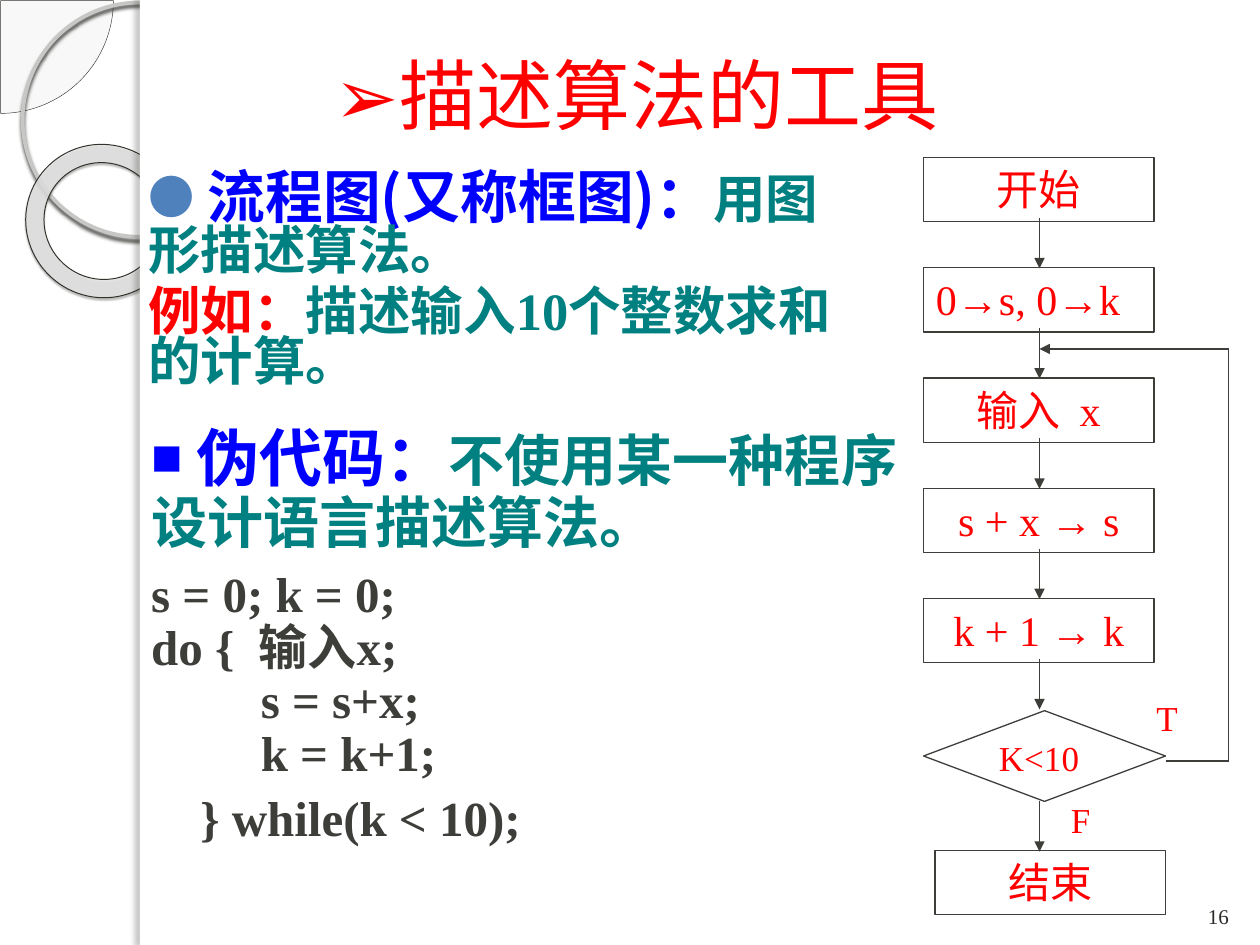
import pptx
import pptx.util
import pptx.dml.color
import pptx.enum.shapes
import pptx.enum.text
import pptx.oxml.ns
from lxml import etree

Inches = pptx.util.Inches
Pt = pptx.util.Pt
SHAPE = pptx.enum.shapes.MSO_SHAPE
ALIGN = pptx.enum.text.PP_ALIGN
ANCHOR = pptx.enum.text.MSO_ANCHOR
qn = pptx.oxml.ns.qn

SANS, SERIF = "Noto Sans CJK SC", "Times New Roman"
COLORS = {"red": "FF0000", "blue": "0000FF", "teal": "008080", "ink": "3D3D3A",
          "dark": "2B2B27", "white": "FFFFFF", "pale": "EBEBEB", "ring": "C7C7C6",
          "donut": "E3E3E3", "edge": "32322D", "bullet": "4F81BD"}


def color(name):
    return pptx.dml.color.RGBColor.from_string(COLORS[name])


def add_child(parent, tag, **attributes):
    return etree.SubElement(parent, qn(tag), {k: str(v) for k, v in attributes.items()})


def add_span(para, text, size=24, font=SERIF, fill="red", bold=False):
    span = para.add_run()
    span.text = text
    span.font.size = Pt(size)
    span.font.name = font
    span.font.bold = bold
    span.font.color.rgb = color(fill)
    add_child(span.font._element, "a:ea", typeface=SANS)


class SlideBuilder:
    """Holds the line style, the page and the shapes being added to."""

    def __init__(self, page):
        self.page = page
        self.shapes = page.shapes
        self.line_color, self.line_width = "ink", 0.75

    def start_group(self):
        self.shapes = self.page.shapes.add_group_shape().shapes

    def end_group(self):
        self.shapes = self.page.shapes

    def shape(self, kind, left, top, width, height, fill=None, alpha=100,
              line="ink", line_width=None, shadow=None):
        box = self.shapes.add_shape(kind, Inches(left), Inches(top),
                                    Inches(width), Inches(height))
        box.shadow.inherit = False
        if fill:
            box.fill.solid()
            box.fill.fore_color.rgb = color(fill)
            if alpha < 100:
                srgb = box._element.spPr.find(".//" + qn("a:srgbClr"))
                add_child(srgb, "a:alpha", val=alpha * 1000)
        else:
            box.fill.background()
        if line:
            box.line.color.rgb = color(line)
            box.line.width = Pt(line_width or self.line_width)
        else:
            box.line.fill.background()
        if shadow:
            opacity, blur, distance, angle = shadow
            effects = box._element.spPr.find(qn("a:effectLst"))
            outer = add_child(effects, "a:outerShdw", blurRad=Pt(blur), dist=Pt(distance),
                              dir=angle * 60000, algn="tl", rotWithShape=0)
            srgb = add_child(outer, "a:srgbClr", val=COLORS["dark"])
            add_child(srgb, "a:alpha", val=opacity * 1000)
        return box

    def step(self, text, left, top, align=ALIGN.CENTER):
        box = self.shape(SHAPE.RECTANGLE, left, top, 1.83, 0.51)
        box.text_frame.vertical_anchor = ANCHOR.TOP
        para = box.text_frame.paragraphs[0]
        para.alignment = align
        add_span(para, text)

    def text_box(self, left, top, width, height, wrap=True):
        box = self.shapes.add_textbox(Inches(left), Inches(top), Inches(width), Inches(height))
        box.text_frame.word_wrap = wrap
        return box.text_frame

    def label(self, text, left, top, width, wrap=False):
        frame = self.text_box(left, top, width, 0.43, wrap)
        add_span(frame.paragraphs[0], text, size=20)

    def paragraph(self, frame, spans, spacing, before=0, indent=0, bullet=None):
        para = frame.paragraphs[0]
        if para.runs:
            para = frame.add_paragraph()
        para.line_spacing = spacing
        para.space_before = Pt(before)
        para.alignment = ALIGN.LEFT
        properties = para._p.get_or_add_pPr()
        properties.set("marL", str(Inches(indent)))
        properties.set("indent", "0")
        if bullet:
            symbol, fill, percent = bullet
            add_child(add_child(properties, "a:buClr"), "a:srgbClr", val=COLORS[fill])
            add_child(properties, "a:buSzPct", val=percent * 1000)
            add_child(properties, "a:buFont", typeface=SANS)
            add_child(properties, "a:buChar", char=symbol)
        for text, style in spans:
            add_span(para, text, **style)

    def line(self, x1, y1, x2, y2, arrow=None):
        link = self.shapes.add_connector(pptx.enum.shapes.MSO_CONNECTOR.STRAIGHT,
                                         Inches(x1), Inches(y1), Inches(x2), Inches(y2))
        link.line.color.rgb = color(self.line_color)
        link.line.width = Pt(self.line_width)
        if arrow:
            add_child(link.line._get_or_add_ln(), "a:" + arrow, type="triangle")
        add_child(link._element.spPr, "a:effectLst")

    def title(self, text):
        box = self.page.shapes.title
        self.page.shapes.element.append(box.element)  # in front of the panel
        box.left, box.top, box.width, box.height = map(Inches, (0.43, 0.28, 9.25, 0.92))
        box.text_frame.vertical_anchor = ANCHOR.MIDDLE
        para = box.text_frame.paragraphs[0]
        para.alignment = ALIGN.CENTER
        add_span(para, text, size=44, font=SANS)


def main():
    deck = pptx.Presentation()
    deck.slide_width, deck.slide_height = Inches(10), Inches(7.5)
    builder = SlideBuilder(deck.slides.add_slide(deck.slide_layouts[5]))

    # Side decoration and the white panel over it
    pie = builder.shape(SHAPE.PIE, -0.89, -0.89, 1.79, 1.79, "pale", 33, "edge", 0.25)
    pie.adjustments[0], pie.adjustments[1] = 0, 54
    builder.shape(SHAPE.OVAL, 0.18, 0.02, 1.86, 1.86, line="ring", line_width=2.15,
                  shadow=(85, 2, 2, 90))
    donut = builder.shape(SHAPE.DONUT, 0.2, 1.15, 1.23, 1.21, "donut", 85, "edge", 0.58,
                          shadow=(35, 1, 1.2, 75))
    donut.adjustments[0] = 0.12
    donut.rotation = 38.6
    builder.shape(SHAPE.RECTANGLE, 1.11, 0, 8.89, 7.5, "white", line=None)
    builder.shape(SHAPE.RECTANGLE, 1.11, 0, 0.08, 7.5, "white", line=None,
                  shadow=(25, 3, 3, 180))

    builder.title("➢描述算法的工具")

    # Flowchart description
    sans = {"font": SANS, "bold": True}
    teal = {**sans, "size": 30, "fill": "teal"}
    frame = builder.text_box(1.08, 1.33, 5.65, 1.86)
    builder.paragraph(frame, [
        (" 流程图(又称框图)：", {**sans, "size": 33, "fill": "blue"}),
        ("用图形描述算法。", teal)], 0.8, before=6, bullet=("●", "bullet", 80))
    builder.paragraph(frame, [
        ("例如：", {**teal, "fill": "red"}), ("描述输入", teal),
        ("10", {**teal, "font": SERIF}), ("个整数求和的计算。", teal)], 0.8, before=6)

    # Page number
    frame = builder.text_box(9.42, 6.9, 0.5, 0.52)
    frame.vertical_anchor = ANCHOR.BOTTOM
    frame.paragraphs[0].alignment = ALIGN.CENTER
    add_span(frame.paragraphs[0], "16", size=12, fill="dark")

    # Flowchart
    builder.start_group()
    axis, left, top, pitch = 8.25, 7.33, 1.25, 0.875
    steps = ["开始", "0→s, 0→k", "输入  x", "s + x → s", "k + 1 → k"]
    for index, text in enumerate(steps):
        y = top + index * pitch
        builder.step(text, left, y, ALIGN.LEFT if index == 1 else ALIGN.CENTER)
        builder.line(axis, y + 0.48, axis, y + 0.88, "tailEnd")
    builder.shape(SHAPE.FLOWCHART_DECISION, left, 5.64, 1.92, 0.72)
    builder.label("K<10", 7.83, 5.8, 1, wrap=True)
    builder.line(axis, 6.36, axis, 6.76, "tailEnd")
    builder.step("结束", 7.42, 6.75)

    # Loop back
    builder.line(9.25, 6.04, 9.75, 6.04)
    builder.line(9.75, 2.77, 9.75, 6.04)
    builder.line(axis, 2.77, 9.75, 2.77, "headEnd")
    builder.label("F", 8.4, 6.29, 0.37)
    builder.label("T", 9.08, 5.48, 0.38)
    builder.end_group()

    # Pseudocode
    frame = builder.text_box(1.08, 3.33, 6.17, 3.83)
    frame.margin_left = frame.margin_right = Inches(0.12)
    frame.margin_top = frame.margin_bottom = Inches(0.06)
    builder.paragraph(frame, [
        (" 伪代码：", {**sans, "size": 36, "fill": "blue"}),
        ("不使用某一种程序设计语言描述算法。", {**teal, "size": 32})],
        0.9, bullet=("■", "blue", 50))
    code = {"size": 28, "fill": "ink", "bold": True}
    for text, indent, before in [("s = 0; k = 0;", 0, 8.4), ("do {  输入x;", 0, 0),
                                 ("s = s+x;", 0.87, 0), ("k = k+1;", 0.87, 0),
                                 ("} while(k < 10);", 0.39, 7)]:
        builder.paragraph(frame, [(text, code)], 0.9, before, indent)

    deck.save("out.pptx")


if __name__ == "__main__":
    main()
